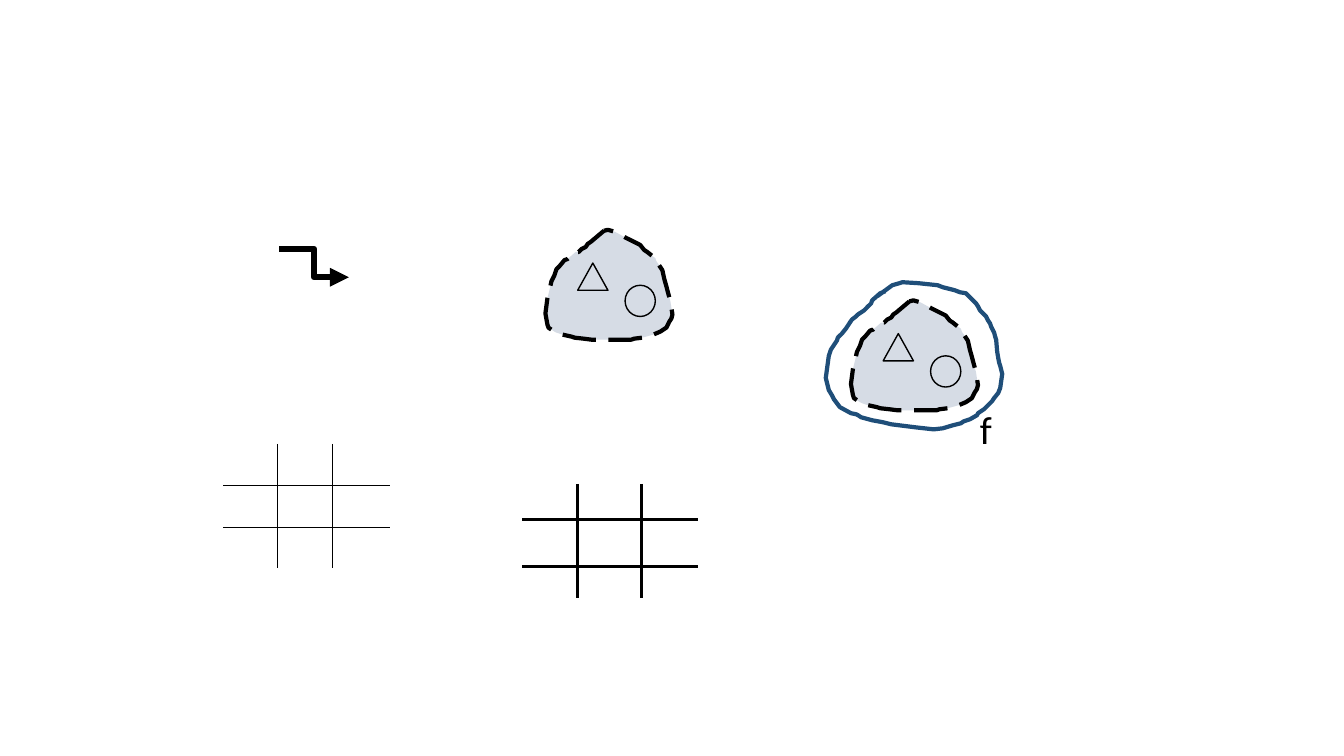
from dataclasses import dataclass

from lxml import etree
from pptx import Presentation
from pptx.dml.color import RGBColor
from pptx.enum.dml import MSO_LINE
from pptx.enum.shapes import MSO_CONNECTOR, MSO_SHAPE
from pptx.enum.text import MSO_AUTO_SIZE
from pptx.oxml.ns import qn
from pptx.util import Pt

PX = 9144
BENT = MSO_CONNECTOR.ELBOW
LINE = MSO_CONNECTOR.STRAIGHT
PEAK = MSO_SHAPE.ISOSCELES_TRIANGLE
OVAL = MSO_SHAPE.OVAL
DASH = MSO_LINE.LONG_DASH
GROW = MSO_AUTO_SIZE.SHAPE_TO_FIT_TEXT


@dataclass(frozen=True)
class Theme:
    ink: str = "000000"
    paper: str = "FFFFFF"
    body: str = "D6DCE5"
    ring: str = "1F4E79"
    font: str = "Calibri"
    text: int = 28
    thin: float = 1
    mid: float = 2.25
    thick: float = 3
    bold: float = 4.5


THEME = Theme()

BLOB = [
    (58, 1), (45, 12), (42, 14), (40, 17), (36, 19), (33, 22), (30, 22),
    (22, 29), (19, 30), (14, 36), (11, 39), (9, 45), (6, 51), (4, 60),
    (2, 68), (0, 83), (2, 94), (3, 97), (9, 101), (11, 102), (17, 104),
    (26, 106), (29, 107), (38, 108), (46, 109), (85, 109), (88, 108),
    (96, 107), (107, 104), (114, 101), (120, 97), (123, 91), (125, 88),
    (126, 84), (124, 71), (121, 60), (120, 56), (118, 49), (116, 40),
    (112, 34), (110, 31), (109, 28), (106, 26), (101, 22), (98, 20),
    (94, 15), (86, 11), (80, 8), (69, 2), (62, 0),
]

RING = [
    (51, 14), (66, 3), (73, 1), (76, 0), (92, 1), (111, 3), (116, 5),
    (124, 7), (128, 8), (133, 10), (139, 11), (149, 21), (151, 24),
    (153, 28), (155, 30), (157, 32), (159, 34), (161, 38), (163, 41),
    (164, 44), (167, 50), (168, 54), (169, 57), (170, 69), (171, 75),
    (172, 80), (173, 83), (175, 91), (173, 105), (171, 110), (167, 115),
    (165, 118), (160, 123), (157, 126), (151, 130), (150, 132), (143, 136),
    (137, 138), (134, 140), (126, 142), (116, 145), (107, 146), (89, 144),
    (73, 142), (65, 141), (57, 139), (46, 137), (35, 134), (32, 132),
    (30, 131), (25, 130), (14, 124), (8, 116), (6, 112), (3, 107), (1, 99),
    (0, 95), (3, 73), (5, 67), (9, 61), (11, 58), (12, 55), (16, 51),
    (20, 46), (24, 40), (26, 37), (30, 34), (32, 32), (35, 30), (38, 28),
    (42, 24), (45, 21), (46, 18), (54, 11), (59, 9),
]


def color(code):
    return RGBColor.from_string(code)


def stroke(item, code, width):
    item.line.color.rgb = color(code)
    item.line.width = Pt(width)


def add_line(shapes, kind, ends, width):
    line = shapes.add_connector(kind, *(n * PX for n in ends))
    stroke(line, THEME.ink, width)
    etree.SubElement(line._element.spPr, qn("a:effectLst"))
    return line


def add_arrow(shapes, ends):
    arrow = add_line(shapes, BENT, ends, THEME.bold)
    pen = arrow._element.spPr.find(qn("a:ln"))
    etree.SubElement(pen, qn("a:tailEnd"), type="triangle")


def add_path(shapes, left, top, points, shut, code, fill=None):
    spots = [(left + x, top + y) for x, y in points]
    maker = shapes.build_freeform(*spots[0], scale=PX)
    maker.add_line_segments(spots[1:], close=shut)
    path = maker.convert_to_shape()
    path.shadow.inherit = False
    if fill:
        path.fill.solid()
        path.fill.fore_color.rgb = color(fill)
    else:
        path.fill.background()
    stroke(path, code, THEME.thick)
    return path


def add_mark(shapes, kind, *box):
    mark = shapes.add_shape(kind, *(n * PX for n in box))
    mark.shadow.inherit = False
    mark.fill.background()
    stroke(mark, THEME.ink, THEME.thin)


def add_cell(shapes, left, top):
    blob = add_path(shapes, left, top, BLOB, True, THEME.ink, THEME.body)
    blob.line.dash_style = DASH
    add_mark(shapes, PEAK, left + 32, top + 33, 30, 27)
    add_mark(shapes, OVAL, left + 79, top + 55, 30, 31)


def add_label(shapes, text, *box):
    label = shapes.add_textbox(*(n * PX for n in box))
    frame = label.text_frame
    frame.word_wrap = False
    frame.auto_size = GROW
    frame.text = text
    font = frame.paragraphs[0].runs[0].font
    font.name = THEME.font
    font.size = Pt(THEME.text)
    font.color.rgb = color(THEME.ink)


def add_edge(cell, side):
    edge = etree.SubElement(cell._tc.get_or_add_tcPr(), qn("a:ln" + side),
                            w=str(Pt(THEME.thin)))
    fill = etree.SubElement(edge, qn("a:solidFill"))
    etree.SubElement(fill, qn("a:srgbClr"), val=THEME.ink)


def add_grid(shapes, left, top, widths, heights):
    frame = shapes.add_table(len(heights), len(widths), left * PX, top * PX,
                             sum(widths) * PX, sum(heights) * PX)
    grid = frame.table
    grid.first_row = grid.horz_banding = False
    for col, width in zip(grid.columns, widths):
        col.width = width * PX
    for row, height in zip(grid.rows, heights):
        row.height = height * PX
    for r in range(len(heights)):
        for c in range(len(widths)):
            cell = grid.cell(r, c)
            inner = {"L": c > 0, "R": c < len(widths) - 1,
                     "T": r > 0, "B": r < len(heights) - 1}
            for side, shown in inner.items():
                if shown:
                    add_edge(cell, side)
            cell.fill.solid()
            cell.fill.fore_color.rgb = color(THEME.paper)


def main():
    deck = Presentation()
    deck.slide_width, deck.slide_height = 1333 * PX, 750 * PX
    shapes = deck.slides.add_slide(deck.slide_layouts[6]).shapes

    add_arrow(shapes, (277, 247, 346, 275))
    add_cell(shapes.add_group_shape().shapes, 541, 228)

    ringed = shapes.add_group_shape().shapes
    add_path(ringed, 819, 280, RING, False, THEME.ring)
    add_cell(ringed, 844, 298)
    add_label(ringed, "f", 962, 397, 32, 57)

    add_grid(shapes, 222, 441, [53, 55, 56], [41] * 3)
    for x in (573, 636):
        add_line(shapes, LINE, (x, 480, x, 593), THEME.mid)
    for y in (515, 562):
        add_line(shapes, LINE, (518, y, 692, y), THEME.mid)

    deck.save("out.pptx")


if __name__ == "__main__":
    main()
